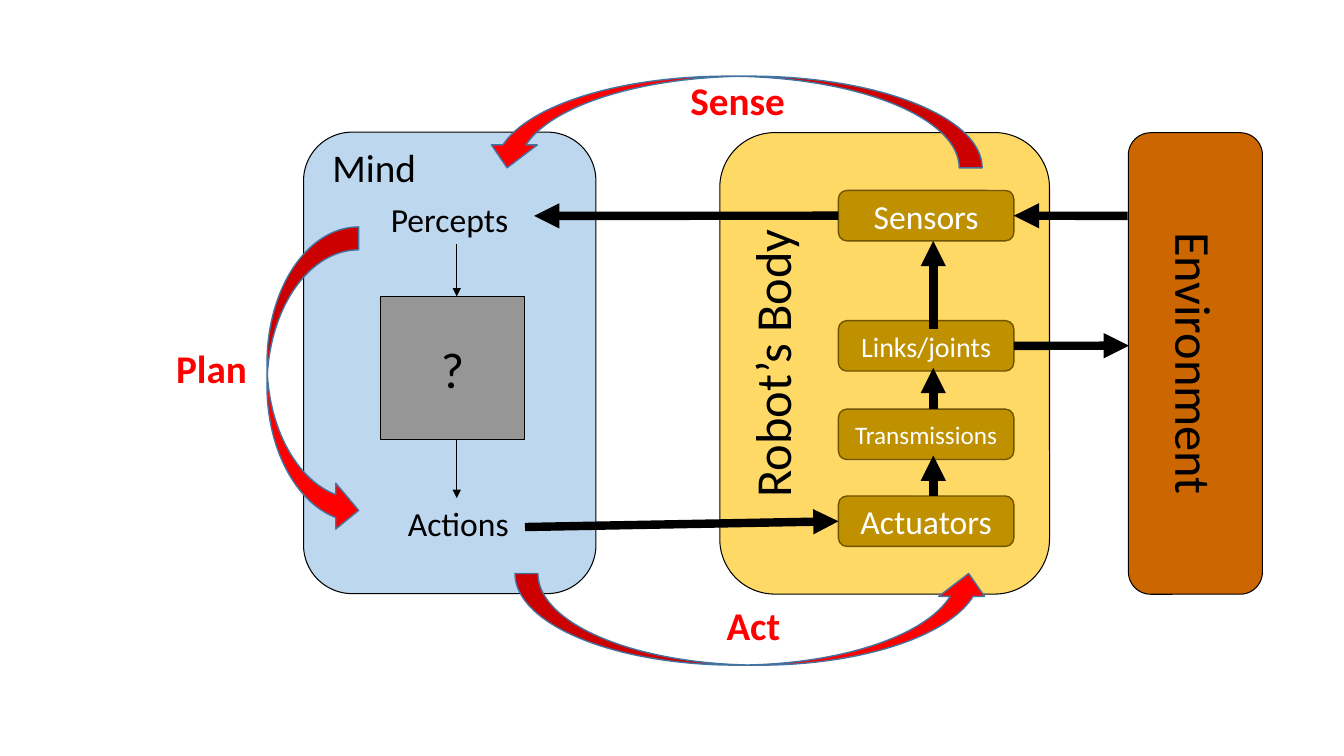
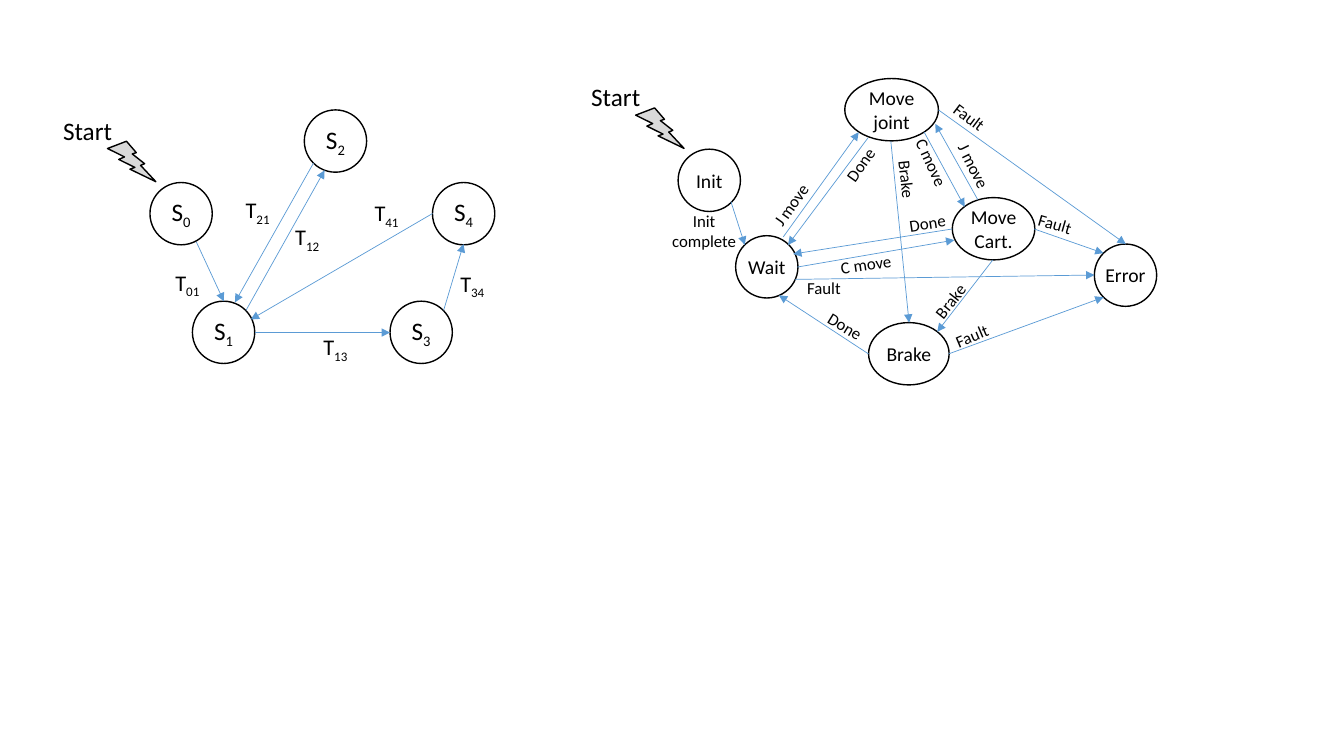
from lxml import etree
from pptx import Presentation
from pptx.dml.color import RGBColor
from pptx.enum import shapes, text
from pptx.oxml import ns
from pptx.util import Cm, Pt

FONT = "Calibri"
COLORS = {
    "black": "000000", "white": "FFFFFF", "red": "FF0000",
    "mind": "BDD7EE", "unknown": "969696", "body": "FFD966",
    "environment": "CC6600", "part": "BF9000", "part edge": "705400",
    "loop edge": "43739E", "bolt": "D9D9D9", "transition": "5B9BD5",
}
SHAPE = shapes.MSO_SHAPE
MIDDLE, TOP = text.MSO_ANCHOR.MIDDLE, text.MSO_ANCHOR.TOP
LEFT, CENTER = text.PP_ALIGN.LEFT, text.PP_ALIGN.CENTER
SIDE_LEFT, SIDE_RIGHT = 1, 3
STATE_SIZE = 1.57


def color(name):
    return RGBColor.from_string(COLORS[name])


# Shared elements
def write(frame, words, size, ink="black", align=CENTER, bold=False, subscript=""):
    paragraph = frame.paragraphs[0]
    paragraph.text = words
    paragraph.alignment = align
    if subscript:
        index = paragraph.add_run()
        index.text = subscript
        index.font._element.set("baseline", "-25000")
    for run in paragraph.runs:
        run.font.name = FONT
        run.font.size = Pt(size)
        run.font.bold = bold
        run.font.color.rgb = color(ink)


def add_block(slide, kind, box, fill, edge="black", weight=0.75, rotation=0):
    block = slide.shapes.add_shape(kind, *map(Cm, box))
    block.shadow.inherit = False
    block.fill.solid()
    block.fill.fore_color.rgb = color(fill)
    block.line.color.rgb = color(edge)
    block.line.width = Pt(weight)
    block.rotation = rotation
    return block


def fill_block(block, words, size, ink="black", anchor=MIDDLE, wrap=True, subscript=""):
    frame = block.text_frame
    frame.word_wrap = wrap
    frame.vertical_anchor = anchor
    frame.margin_left = frame.margin_right = 0
    write(frame, words, size, ink, subscript=subscript)


def add_label(slide, words, box, size, rotation=0, **style):
    label = slide.shapes.add_textbox(*map(Cm, box))
    label.rotation = rotation
    label.text_frame.word_wrap = True
    write(label.text_frame, words, size, **{"align": LEFT, **style})


def add_arrow(slide, start, end, ink="black", weight=6.0):
    arrow = slide.shapes.add_connector(
        shapes.MSO_CONNECTOR.STRAIGHT, *map(Cm, (*start, *end)))
    arrow.line.color.rgb = color(ink)
    arrow.line.width = Pt(weight)
    etree.SubElement(arrow.line._get_or_add_ln(), ns.qn("a:tailEnd"), type="triangle")
    etree.SubElement(arrow._element.spPr, ns.qn("a:effectLst"))
    return arrow


# State machine elements
def add_state(slide, words, left, top, size, width=STATE_SIZE, subscript=""):
    state = add_block(slide, SHAPE.OVAL, (left, top, width, STATE_SIZE), "white", weight=1)
    fill_block(state, words, size, subscript=subscript)


def add_start(slide, left, top):
    """Mark the state at left, top as the first one."""
    add_block(slide, SHAPE.LIGHTNING_BOLT, (left - 1.07, top - 1.04, 1.22, 1.02),
              "bolt", weight=1)
    add_label(slide, "Start", (left - 2.44, top - 1.83, 2.01, 1.02), 18)


def add_transitions(slide, transitions):
    for start, end in transitions:
        add_arrow(slide, start, end, "transition", 0.5)


# Slide 1: sense, plan, act
def build_robot_loop(slide):
    # Mind
    add_block(slide, SHAPE.ROUNDED_RECTANGLE, (7.65, 3.33, 7.37, 11.63), "mind")
    unknown = add_block(slide, SHAPE.RECTANGLE, (9.6, 7.47, 3.61, 3.61), "unknown")
    fill_block(unknown, "?", 36, wrap=False)
    add_label(slide, "Mind", (8.13, 3.48, 3.38, 1.45), 28)
    add_label(slide, "Percepts", (9.6, 4.88, 4.45, 1.27), 24)
    add_label(slide, "Actions", (10.03, 12.55, 3.38, 1.27), 24)
    for top, bottom in ((6.15, 7.47), (11.07, 12.55)):
        add_arrow(slide, (11.51, top), (11.51, bottom), weight=0.75)

    # Body and environment, both turned on their side
    body = add_block(slide, SHAPE.ROUNDED_RECTANGLE, (16.48, 5, 11.63, 8.31),
                     "body", rotation=270)
    fill_block(body, "Robot’s Body", 36, anchor=TOP, wrap=False)
    environment = add_block(slide, SHAPE.ROUNDED_RECTANGLE, (24.31, 7.47, 11.63, 3.38),
                            "environment", rotation=90)
    fill_block(environment, "Environment", 36, wrap=False)

    # Body parts
    parts = {}
    for name, top, size in (("Sensors", 4.8, 24), ("Links/joints", 8.08, 20),
                            ("Transmissions", 10.31, 18), ("Actuators", 12.5, 24)):
        parts[name] = add_block(slide, SHAPE.ROUNDED_RECTANGLE, (21.13, top, 4.42, 1.27),
                                "part", "part edge", 1)
        fill_block(parts[name], name, size, "white")

    # Signal flow
    for bottom, top in ((8.28, 6.07), (10.31, 9.27), (12.5, 11.48)):
        add_arrow(slide, (23.52, bottom), (23.52, top))
    stimulus = add_arrow(slide, (28.42, 5.44), (25.55, 5.44))
    stimulus.end_connect(parts["Sensors"], SIDE_RIGHT)
    motion = add_arrow(slide, (25.55, 8.71), (28.45, 8.71))
    motion.begin_connect(parts["Links/joints"], SIDE_RIGHT)
    percept = add_arrow(slide, (21.13, 5.44), (13.46, 5.44))
    percept.begin_connect(parts["Sensors"], SIDE_LEFT)
    command = add_arrow(slide, (13.23, 13.28), (21.13, 13.14))
    command.end_connect(parts["Actuators"], SIDE_LEFT)

    # Red loop
    for name, label_at, left, top, length, rotation in (
            ("Plan", (4.19, 8.56), 6.73, 5.72, 7.72, 0),
            ("Act", (18.06, 15.04), 17.83, 9.6, 12.01, 270),
            ("Sense", (17.15, 1.8), 17.32, -3.2, 12.55, 90)):
        add_block(slide, SHAPE.CURVED_RIGHT_ARROW, (left, top, 2.31, length),
                  "red", "loop edge", 1, rotation)
        add_label(slide, name, (*label_at, 3.66, 1.45), 28, ink="red", bold=True)


# Slide 2, left: abstract state machine
def build_abstract_machine(slide):
    add_start(slide, 3.78, 4.6)
    for number, left, top in (("0", 3.78, 4.6), ("1", 4.85, 7.59), ("2", 7.67, 2.77),
                              ("3", 9.83, 7.59), ("4", 10.9, 4.6)):
        add_state(slide, "S", left, top, 18, subscript=number)
    add_transitions(slide, (
        ((4.95, 6.1), (5.64, 7.59)),
        ((6.2, 7.82), (8.18, 4.29)),
        ((7.9, 4.11), (5.92, 7.62)),
        ((6.43, 8.38), (9.83, 8.38)),
        ((11.18, 7.82), (11.68, 6.15)),
        ((10.9, 5.38), (6.32, 8.05)),
    ))
    for numbers, left, top in (("01", 4.17, 6.65), ("12", 7.19, 5.51), ("21", 5.94, 4.83),
                               ("13", 7.9, 8.28), ("34", 11.35, 6.68), ("41", 9.19, 4.9)):
        add_label(slide, "T", (left, top, 1.63, 0.94), 16, subscript=numbers)


# Slide 2, right: robot state machine
def build_robot_machine(slide):
    add_start(slide, 17.09, 3.76)
    for name, left, top, width in (
            ("Init", 17.09, 3.76, STATE_SIZE), ("Wait", 18.54, 5.94, STATE_SIZE),
            ("Move joint", 21.29, 1.98, 2.36), ("Move Cart.", 24, 4.98, 2.08),
            ("Brake", 21.89, 8.13, 2.03), ("Error", 27.58, 6.15, STATE_SIZE)):
        add_state(slide, name, left, top, 14, width)
    add_transitions(slide, (
        # From Init and Wait
        ((18.42, 5.08), (18.77, 6.17)),
        ((19.74, 5.97), (21.64, 3.33)),
        ((20.09, 6.73), (24.05, 6.05)),
        ((20.04, 7.04), (27.58, 6.93)),
        # From Move joint
        ((21.87, 3.48), (19.86, 6.17)),
        ((22.45, 3.56), (22.91, 8.13)),
        ((23.29, 3.33), (24.31, 5.21)),
        ((23.65, 2.77), (28.37, 6.15)),
        # From Move Cart.
        ((24.64, 5.03), (23.57, 3.12)),
        ((24, 5.77), (19.99, 6.4)),
        ((25.02, 6.55), (23.62, 8.36)),
        ((26.06, 5.77), (27.81, 6.38)),
        # From Brake
        ((21.89, 8.92), (19.63, 7.44)),
        ((23.9, 8.92), (27.81, 7.49)),
    ))
    add_label(slide, "Init complete", (16.59, 5.18, 2.31, 1.27), 12, align=CENTER)
    for event, left, top, rotation in (
            ("J move", 19.04, 4.7, 305.1), ("J move", 23.65, 3.89, 63.7),
            ("C move", 22.56, 3.76, 65.7), ("C move", 20.93, 6.27, 351.6),
            ("Done", 20.9, 3.63, 305.4), ("Done", 22.66, 5.21, 351.5),
            ("Done", 20.57, 7.92, 31.4),
            ("Brake", 22, 4.29, 83.9), ("Brake", 23.16, 7.09, 308.4),
            ("Fault", 23.8, 8, 337.3), ("Fault", 20.09, 6.88, 0),
            ("Fault", 25.91, 5.31, 16.2), ("Fault", 23.72, 2.69, 37.2)):
        width = 1.88 if "move" in event else 1.75
        add_label(slide, event, (left, top, width, 0.76), 12, rotation)


def main():
    deck = Presentation()
    deck.slide_width, deck.slide_height = Cm(33.87), Cm(19.05)
    blank = deck.slide_layouts[6]
    build_robot_loop(deck.slides.add_slide(blank))
    machines = deck.slides.add_slide(blank)
    build_abstract_machine(machines)
    build_robot_machine(machines)
    deck.save("out.pptx")


if __name__ == "__main__":
    main()
